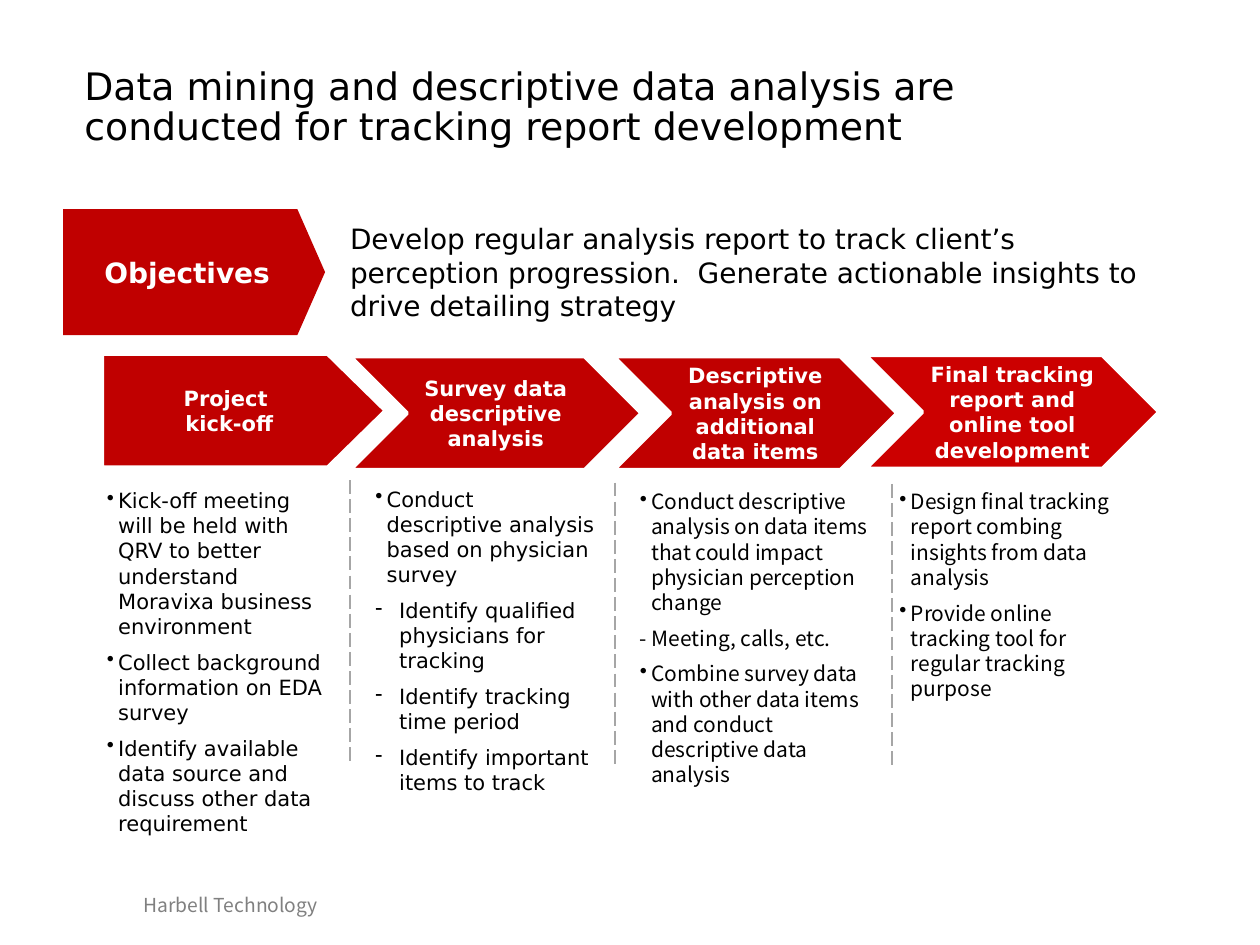
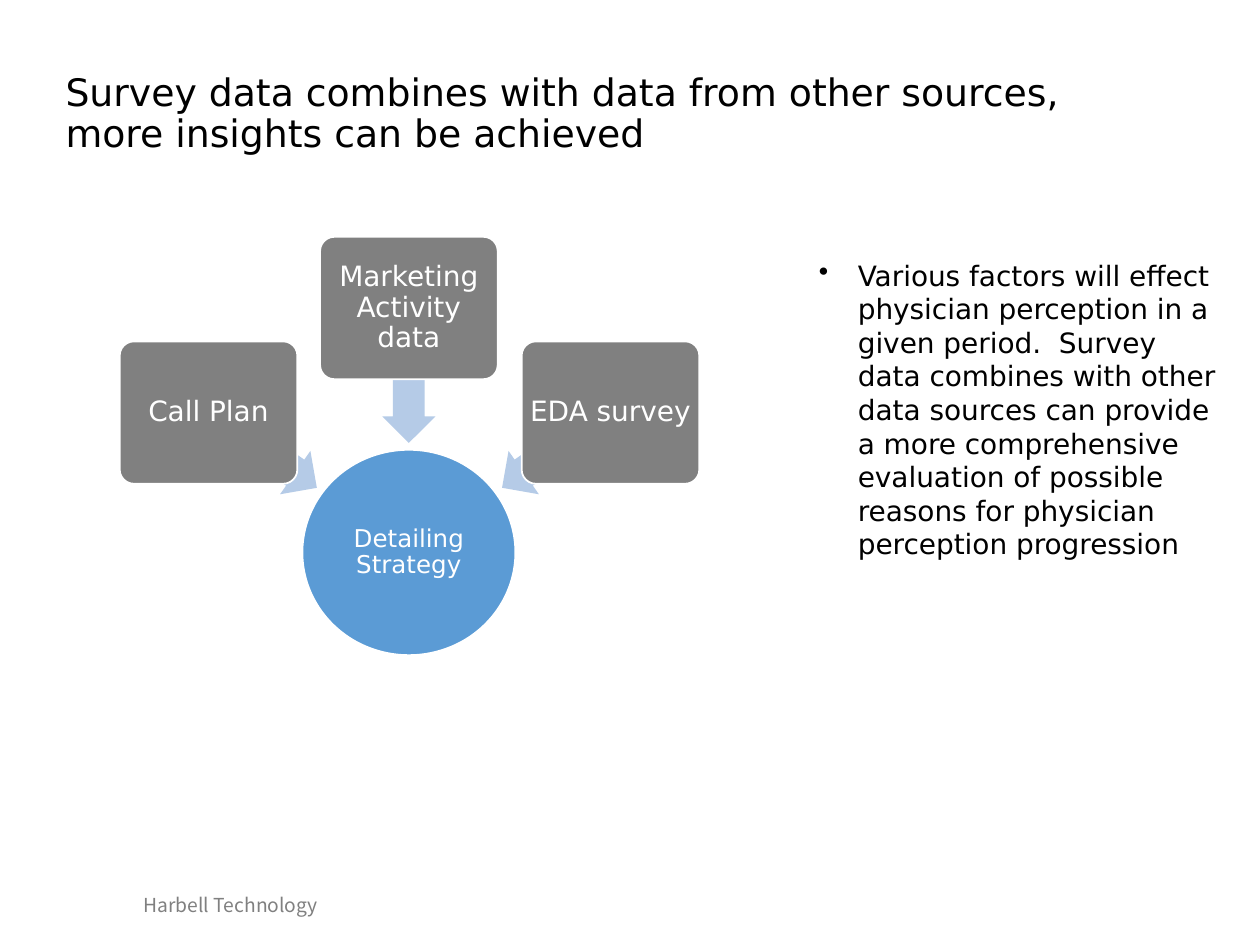
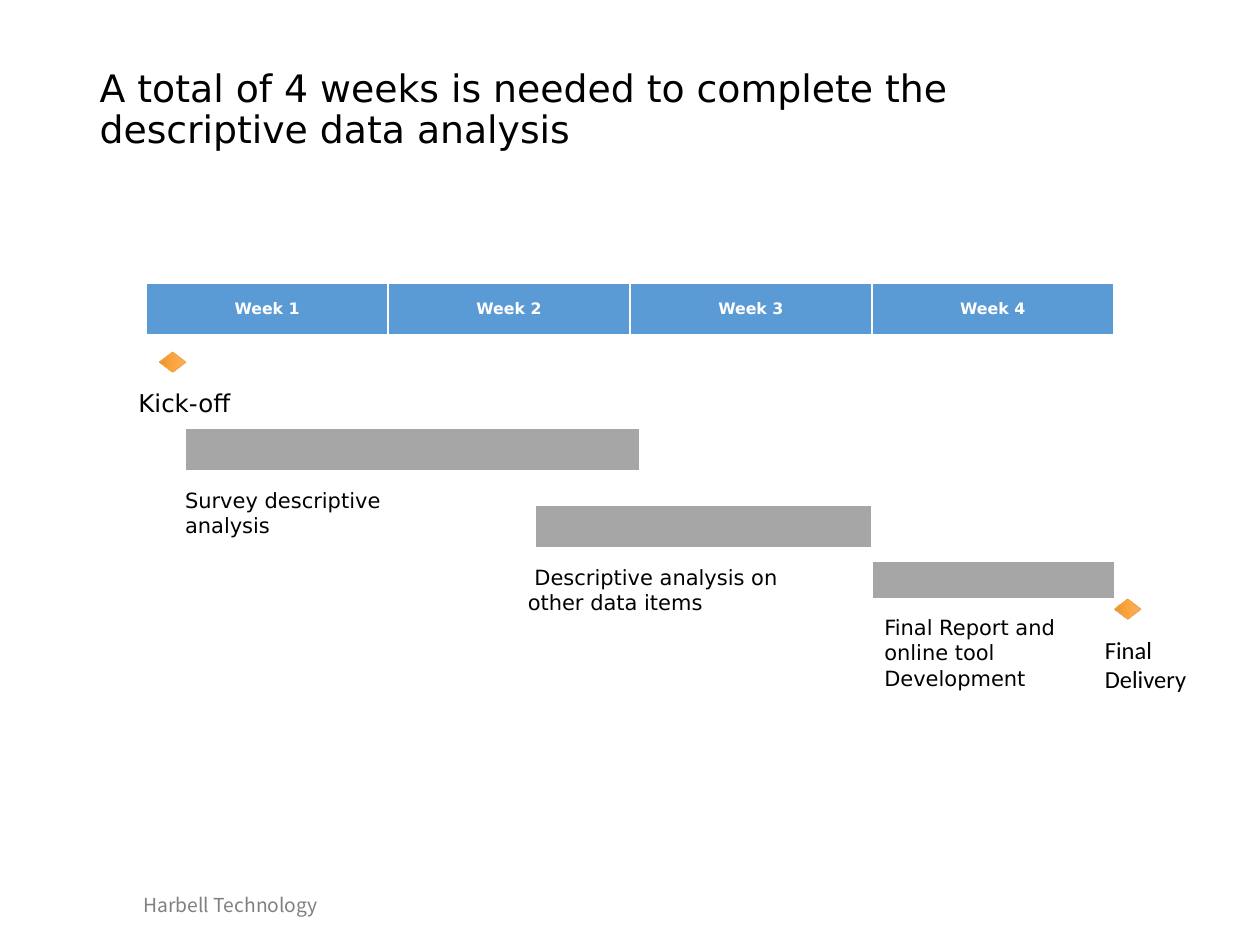
from dataclasses import dataclass, replace
from typing import NamedTuple

from lxml.etree import SubElement
from pptx import Presentation
from pptx.dml.color import RGBColor
from pptx.enum.dml import MSO_LINE as Dash
from pptx.enum.shapes import MSO_CONNECTOR as Link, MSO_SHAPE as Kind
from pptx.enum.text import MSO_ANCHOR as Anchor, MSO_AUTO_SIZE as Fit, PP_ALIGN as Align
from pptx.oxml.ns import qn
from pptx.util import Inches, Pt

RED, BRIGHT, BLUE, PALE = "C00000", "CC0000", "5B9BD5", "B5CBE7"
DARK, GREY, WHITE, BLACK = "808080", "A6A6A6", "FFFFFF", "000000"
GOLD, AMBER = "F3A447", ("F6AE64", "FCA53E", "E59332")
SANS, NOTO, PLAIN = "DejaVu Sans", "Noto Sans CJK SC", "Calibri"
FOOTER = "Harbell Technology"


class Box(NamedTuple):
    left: float
    top: float
    width: float
    height: float


class Para(NamedTuple):
    text: str
    mark: str = ""
    indent: float = 0.0


@dataclass(frozen=True)
class Style:
    size: float
    color: str = BLACK
    font: str = SANS
    bold: bool = False
    align: Align = Align.LEFT
    before: float = 0
    spacing: float = 1.0


TITLE = Style(21.6, spacing=0.9)
BODY = Style(16)
SMALL = Style(12)
LABEL = Style(14)
LIST = Style(12, before=6)
STEP = Style(12, WHITE, bold=True, align=Align.CENTER)
HEAD = replace(STEP, size=16, before=6)
WEEK = replace(STEP, size=9)
NODE = Style(16, WHITE, align=Align.CENTER, spacing=0.9)
NOTE = Style(11, DARK, NOTO)


class Step(NamedTuple):
    kind: Kind
    box: Box
    adjust: float
    fill: str
    lines: list[Para]


class Column(NamedTuple):
    box: Box
    font: str
    items: list[Para]


class Source(NamedTuple):
    text: str
    box: Box
    arrow: Box
    turn: float


class Task(NamedTuple):
    bar: Box
    text: str
    label: Box


class Stone(NamedTuple):
    box: Box
    text: str
    label: Box
    font: str


def dot(text: str) -> Para:
    return Para(text, "•", 0.09)


def dash(text: str) -> Para:
    return Para(text, "-", 0.19)


def color(value: str) -> RGBColor:
    return RGBColor.from_string(value)


def place(box: Box) -> list[int]:
    return [Inches(side) for side in box]


def write(frame, lines: list[Para], style: Style) -> None:
    frame.word_wrap = True
    frame.auto_size = Fit.NONE
    frame.text = "\n".join(line.text for line in lines)
    for para, line in zip(frame.paragraphs, lines):
        para.alignment = style.align
        para.space_before = Pt(style.before)
        para.line_spacing = style.spacing
        for run in para.runs:
            font = run.font
            font.size, font.name, font.bold = Pt(style.size), style.font, style.bold
            font.color.rgb = color(style.color)
        if line.mark:
            props = para._p.get_or_add_pPr()
            props.set("marL", str(Inches(line.indent)))
            props.set("indent", str(-Inches(line.indent)))
            SubElement(props, qn("a:buChar")).set("char", line.mark)


def pad(frame, inset: float) -> None:
    frame.margin_left = frame.margin_right = Inches(inset)
    frame.margin_top = frame.margin_bottom = Inches(inset)


def add_text(slide, box: Box, lines: list[Para], style: Style) -> None:
    write(slide.shapes.add_textbox(*place(box)).text_frame, lines, style)


def add_form(slide, kind: Kind, box: Box, fill: str = "", line: str = "",
             weight: float = 1, adjust: tuple = (), turn: float = 0):
    form = slide.shapes.add_shape(kind, *place(box))
    form.shadow.inherit = False
    form.rotation = turn
    for spot, value in enumerate(adjust):
        form.adjustments[spot] = value
    if fill:
        form.fill.solid()
        form.fill.fore_color.rgb = color(fill)
    if line:
        form.line.color.rgb = color(line)
        form.line.width = Pt(weight)
    else:
        form.line.fill.background()
    return form


def add_label(form, lines: list[Para], style: Style, inset: float) -> None:
    frame = form.text_frame
    write(frame, lines, style)
    pad(frame, inset)
    frame.vertical_anchor = Anchor.MIDDLE


def add_rule(slide, left: float, top: float, height: float) -> None:
    rule = slide.shapes.add_connector(
        Link.STRAIGHT, *place((left, top, left, top + height)))
    rule.line.color.rgb = color(GREY)
    rule.line.width = Pt(1)
    rule.line.dash_style = Dash.LONG_DASH
    SubElement(rule._element.spPr, qn("a:effectLst"))


def add_stone(slide, stone: Stone) -> None:
    form = add_form(slide, Kind.FLOWCHART_DECISION, stone.box,
                    line=GOLD, weight=0.5, turn=90)
    form.fill.gradient()
    form.fill.gradient_angle = 270
    stops = form._element.spPr.find(qn("a:gradFill")).find(qn("a:gsLst"))
    stops.clear()
    for spot, shade in enumerate(AMBER):
        stop = SubElement(stops, qn("a:gs"), pos=str(spot * 50000))
        SubElement(stop, qn("a:srgbClr"), val=shade)
    add_text(slide, stone.label, [Para(stone.text)], replace(LABEL, font=stone.font))


def add_page(deck, title: str, box: Box):
    slide = deck.slides.add_slide(deck.slide_layouts[5])
    add_text(slide, Box(1.04, 7.04, 2.35, 0.29), [Para(FOOTER)], NOTE)
    head = slide.shapes.title
    head.left, head.top, head.width, head.height = place(box)
    write(head.text_frame, [Para(title)], TITLE)
    head.text_frame.vertical_anchor = Anchor.MIDDLE
    return slide


STEPS = [
    Step(Kind.PENTAGON, Box(0.81, 2.81, 2.25, 0.9), 0.51, RED,
         [Para("Project "), Para("kick-off")]),
    Step(Kind.CHEVRON, Box(2.78, 2.83, 2.31, 0.9), 0.5, RED,
         [Para("Survey data descriptive analysis")]),
    Step(Kind.CHEVRON, Box(4.87, 2.83, 2.25, 0.9), 0.5, RED,
         [Para("Descriptive analysis on additional data items")]),
    Step(Kind.CHEVRON, Box(6.87, 2.82, 2.33, 0.9), 0.5, BRIGHT,
         [Para("Final tracking report and online tool development")]),
]

COLUMNS = [
    Column(Box(0.75, 3.82, 1.94, 2.26), SANS, [
        dot("Kick-off meeting will be held with QRV to better understand "
            "Moravixa business environment"),
        dot("Collect background information on EDA survey"),
        dot("Identify available data source and discuss other data requirement"),
    ]),
    Column(Box(2.88, 3.81, 1.95, 3.02), SANS, [
        dot("Conduct descriptive analysis based on physician survey"),
        dash("Identify qualified physicians for tracking"),
        dash("Identify tracking time period"),
        dash("Identify important items to track"),
    ]),
    Column(Box(4.98, 3.83, 2.14, 2.25), NOTO, [
        dot("Conduct descriptive analysis on data items that could impact "
            "physician perception change"),
        Para("- Meeting, calls, etc."),
        dot("Combine survey data with other data items and conduct "
            "descriptive data analysis"),
    ]),
    Column(Box(7.04, 3.83, 1.88, 2.25), NOTO, [
        dot("Design final tracking report combing insights from data analysis"),
        dot("Provide online tracking tool for regular tracking purpose"),
    ]),
]

RULES = [(2.78, 3.81), (4.88, 3.83), (7.08, 3.84)]

SOURCES = [
    Source("Call Plan", Box(0.95, 2.71, 1.41, 1.13), Box(1.56, 3.36, 1.05, 0.42), 215),
    Source("Marketing Activity data", Box(2.54, 1.88, 1.41, 1.13),
           Box(2.71, 2.77, 1.07, 0.42), 270),
    Source("EDA survey", Box(4.14, 2.71, 1.41, 1.13), Box(3.89, 3.36, 1.05, 0.42), 325),
]

TASKS = [
    Task(Box(1.47, 3.4, 3.61, 0.34), "Survey descriptive analysis",
         Box(1.37, 3.82, 2.31, 0.5)),
    Task(Box(4.25, 4.01, 2.67, 0.34), " Descriptive analysis on other data items",
         Box(4.09, 4.43, 2.31, 0.5)),
    Task(Box(6.92, 4.45, 1.93, 0.3), "Final Report and online tool Development",
         Box(6.92, 4.83, 1.56, 0.71)),
]

STONES = [
    Stone(Box(1.29, 2.77, 0.16, 0.21), "Kick-off", Box(1, 3.03, 1.61, 0.34), SANS),
    Stone(Box(8.87, 4.73, 0.16, 0.21), "Final Delivery",
          Box(8.67, 4.99, 1.14, 0.57), PLAIN),
]


def draw_steps(deck) -> None:
    slide = add_page(deck, "Data mining and descriptive data analysis are conducted "
                     "for tracking report development", Box(0.57, 0.46, 8.62, 0.8))
    goal = add_form(slide, Kind.PENTAGON, Box(0.5, 1.66, 2.08, 1), RED, adjust=(0.22,))
    add_label(goal, [Para("Objectives")], HEAD, 0.05)
    add_text(slide, Box(2.68, 1.71, 6.5, 0.91), [Para(
        "Develop regular analysis report to track client’s perception progression.  "
        "Generate actionable insights to drive detailing strategy")], BODY)
    for left, top in RULES:
        add_rule(slide, left, top, 2.24)
    for step in STEPS:
        form = add_form(slide, step.kind, step.box, step.fill, WHITE, 2.25, (step.adjust,))
        add_label(form, step.lines, STEP, 0.04)
    for column in COLUMNS:
        add_text(slide, column.box, column.items, replace(LIST, font=column.font))


def draw_sources(deck) -> None:
    slide = add_page(deck, "Survey data combines with data from other sources, "
                     "more insights can be achieved", Box(0.42, 0.51, 8.93, 0.8))
    hub = add_form(slide, Kind.OVAL, Box(2.4, 3.57, 1.69, 1.63), BLUE, WHITE)
    add_label(hub, [Para("Detailing Strategy")], replace(NODE, size=14), 0.01)
    for source in SOURCES:
        add_form(slide, Kind.LEFT_ARROW, source.arrow, PALE,
                 adjust=(0.6, 0.5), turn=source.turn)
        node = add_form(slide, Kind.ROUNDED_RECTANGLE, source.box, DARK, WHITE,
                        adjust=(0.1,))
        add_label(node, [Para(source.text)], NODE, 0.02)
    add_text(slide, Box(6.4, 2, 3.42, 3.03), [Para(
        "Various factors will effect physician perception in a given period.  "
        "Survey data combines with other data sources can provide a more "
        "comprehensive evaluation of possible reasons for physician perception "
        "progression", "•", 0.31)], BODY)


def draw_weeks(deck) -> None:
    slide = add_page(deck, "A total of 4 weeks is needed to complete the "
                     "descriptive data analysis", Box(0.69, 0.48, 8.62, 0.8))
    table = slide.shapes.add_table(1, 4, *place(Box(1.16, 2.25, 7.68, 0.41))).table
    table.horz_banding = False
    for week, cell in enumerate(table.iter_cells(), 1):
        cell.fill.solid()
        cell.fill.fore_color.rgb = color(BLUE)
        cell.vertical_anchor = Anchor.MIDDLE
        cell.text = f"Week {week}"
        para = cell.text_frame.paragraphs[0]
        para.alignment = WEEK.align
        font = para.runs[0].font
        font.size, font.name, font.bold = Pt(WEEK.size), WEEK.font, WEEK.bold
        font.color.rgb = color(WEEK.color)
    for task in TASKS:
        add_form(slide, Kind.RECTANGLE, task.bar, GREY, WHITE)
        add_text(slide, task.label, [Para(task.text)], SMALL)
    for stone in STONES:
        add_stone(slide, stone)


def main() -> None:
    deck = Presentation()
    deck.slide_width, deck.slide_height = Inches(10), Inches(7.5)
    draw_steps(deck)
    draw_sources(deck)
    draw_weeks(deck)
    deck.save("out.pptx")


if __name__ == "__main__":
    main()
